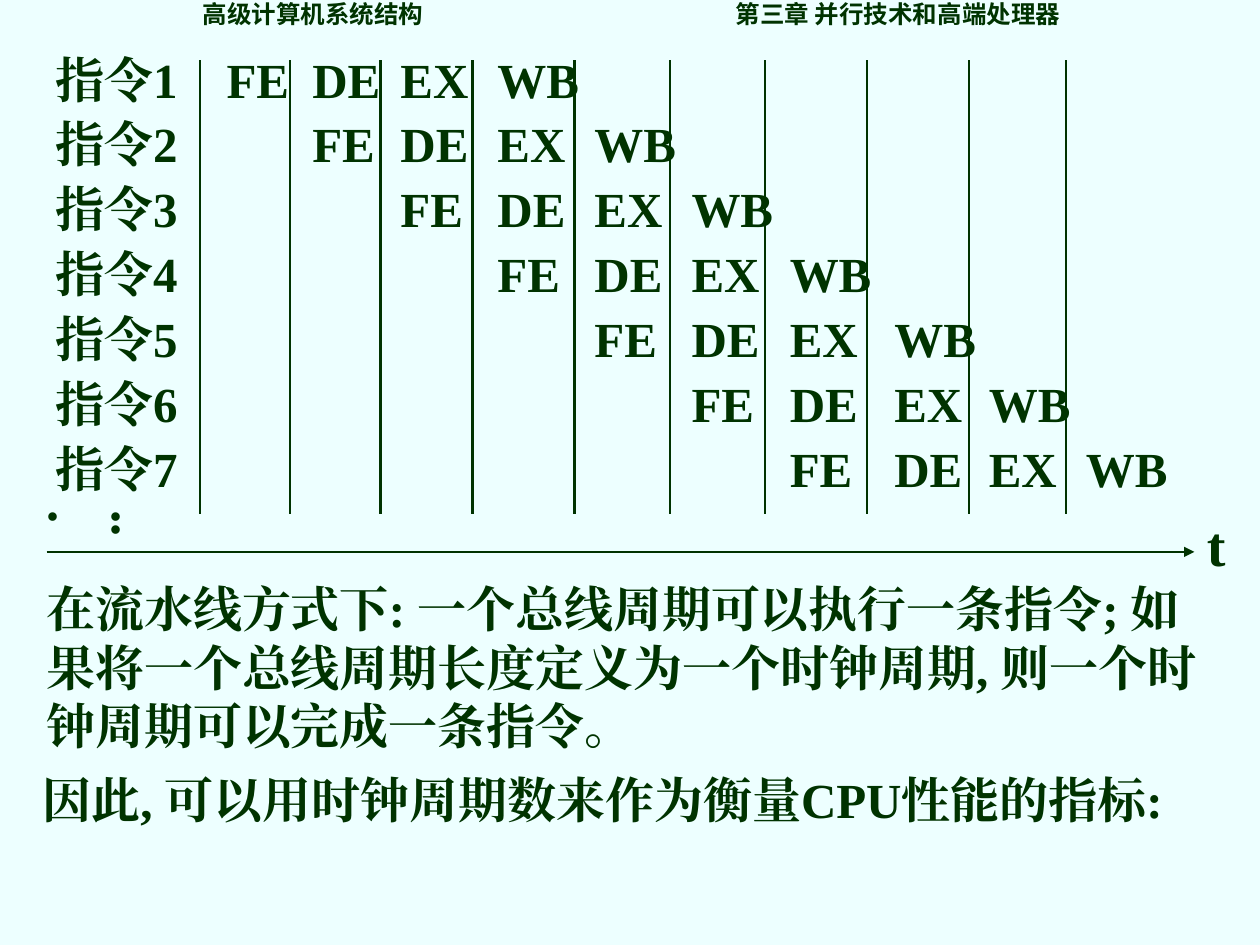
import dataclasses

import pptx
import pptx.dml.color
import pptx.enum.shapes
import pptx.oxml
import pptx.oxml.ns
import pptx.util

Inches = pptx.util.Inches
Pt = pptx.util.Pt


@dataclasses.dataclass(frozen=True)
class Theme:
    ink: str = "003300"
    back: str = "EDFFFF"
    serif: str = "Times New Roman"
    sans: str = "Noto Sans CJK SC"
    head: float = 14
    body: float = 28
    dots: float = 30
    axis: float = 32
    rule: float = 1.25
    arrow: float = 1.5


THEME = Theme()
STAGES = ["FE", "DE", "EX", "WB"]
ROWS = 7
# Left edge of the stage name in each clock period, and the lines between them
SLOTS = [1.8, 2.48, 3.18, 3.95, 4.72, 5.49, 6.27, 7.1, 7.85, 8.62]
RULES = [1.59, 2.3, 3.02, 3.75, 4.56, 5.32, 6.07, 6.88, 7.69, 8.46]
PAD = 0.1


def color(code):
    return pptx.dml.color.RGBColor.from_string(code)


def add(parent, tag, **attrs):
    node = pptx.oxml.ns.qn(tag)
    child = parent.makeelement(node, attrs)
    parent.append(child)
    return child


def style(para, size, font, tabs=()):
    """Set tab stops, in inches from the text edge, and then the font."""
    if tabs:
        stops = add(para._p.get_or_add_pPr(), "a:tabLst")
        for tab in tabs:
            add(stops, "a:tab", pos=str(int(Inches(tab))), algn="l")
    para.font.size = Pt(size)
    para.font.bold = True
    para.font.color.rgb = color(THEME.ink)
    para.font.name = font
    add(para.font._element, "a:ea", typeface=font)


def text(slide, box, words, size, font=THEME.serif, tabs=()):
    shape = slide.shapes.add_textbox(*map(Inches, box))
    frame = shape.text_frame
    frame.word_wrap = True
    para = frame.paragraphs[0]
    para.text = words
    style(para, size, font, tabs)
    return frame


def line(slide, start, end, width):
    link = slide.shapes.add_connector(
        pptx.enum.shapes.MSO_CONNECTOR.STRAIGHT,
        *map(Inches, (*start, *end)))
    link.line.color.rgb = color(THEME.ink)
    link.line.width = Pt(width)
    add(link._element.spPr, "a:effectLst")
    return link


def header(slide, box):
    frame = text(slide, box, "高级计算机系统结构\t第三章 并行技术和高端处理器",
                 THEME.head, THEME.sans, [4.23])
    frame.paragraphs[0].line_spacing = 0.7


def grid(slide, box):
    """Show each instruction starting one clock period after the last."""
    left, top, width, height = box
    frame = slide.shapes.add_textbox(*map(Inches, box)).text_frame
    frame.word_wrap = True
    for row in range(ROWS):
        para = frame.add_paragraph() if row else frame.paragraphs[0]
        para.text = "\t".join([f"指令{row + 1}", *STAGES])
        tabs = [slot - left - PAD for slot in SLOTS[row:row + len(STAGES)]]
        style(para, THEME.body, THEME.serif, tabs)
        if row:
            para.space_before = Pt(3.5)
    for x in RULES:
        line(slide, (x, top + 0.14), (x, top + 3.74), THEME.rule)


def axis(slide, box):
    left, top, width, height = box
    dots = text(slide, (left + 0.29, top, 0.7, 0.5), "...", THEME.dots)
    dots._txBody.bodyPr.set("vert", "eaVert")
    dots.margin_left = dots.margin_right = Inches(0.05)
    dots.margin_top = dots.margin_bottom = Inches(0.1)
    y = top + 0.43
    end = left + width - 0.52
    arrow = line(slide, (left, y), (end, y), THEME.arrow)
    add(arrow.line._get_or_add_ln(), "a:tailEnd", type="triangle")
    text(slide, (end, top + 0.05, 0.52, 0.64), "t", THEME.axis)


def notes(slide, box):
    left, top, width, height = box
    text(slide, (left + 0.03, top, width - 0.03, 1.5),
         "在流水线方式下: 一个总线周期可以执行一条指令; "
         "如果将一个总线周期长度定义为一个时钟周期, "
         "则一个时钟周期可以完成一条指令。", THEME.body)
    text(slide, (left, top + 1.52, width - 0.27, 1.04),
         "因此, 可以用时钟周期数来作为衡量CPU性能的指标:", THEME.body)


def main():
    deck = pptx.Presentation()
    deck.slide_width = Inches(10)
    deck.slide_height = Inches(7.5)
    slide = deck.slides.add_slide(deck.slide_layouts[6])
    fill = slide.background.fill
    fill.solid()
    fill.fore_color.rgb = color(THEME.back)
    header(slide, (1.51, 0.01, 7.2, 0.27))
    grid(slide, (0.34, 0.34, 9.07, 3.66))
    axis(slide, (0.37, 3.95, 9.63, 0.69))
    notes(slide, (0.24, 4.54, 9.6, 2.56))
    deck.save("out.pptx")


if __name__ == "__main__":
    main()
